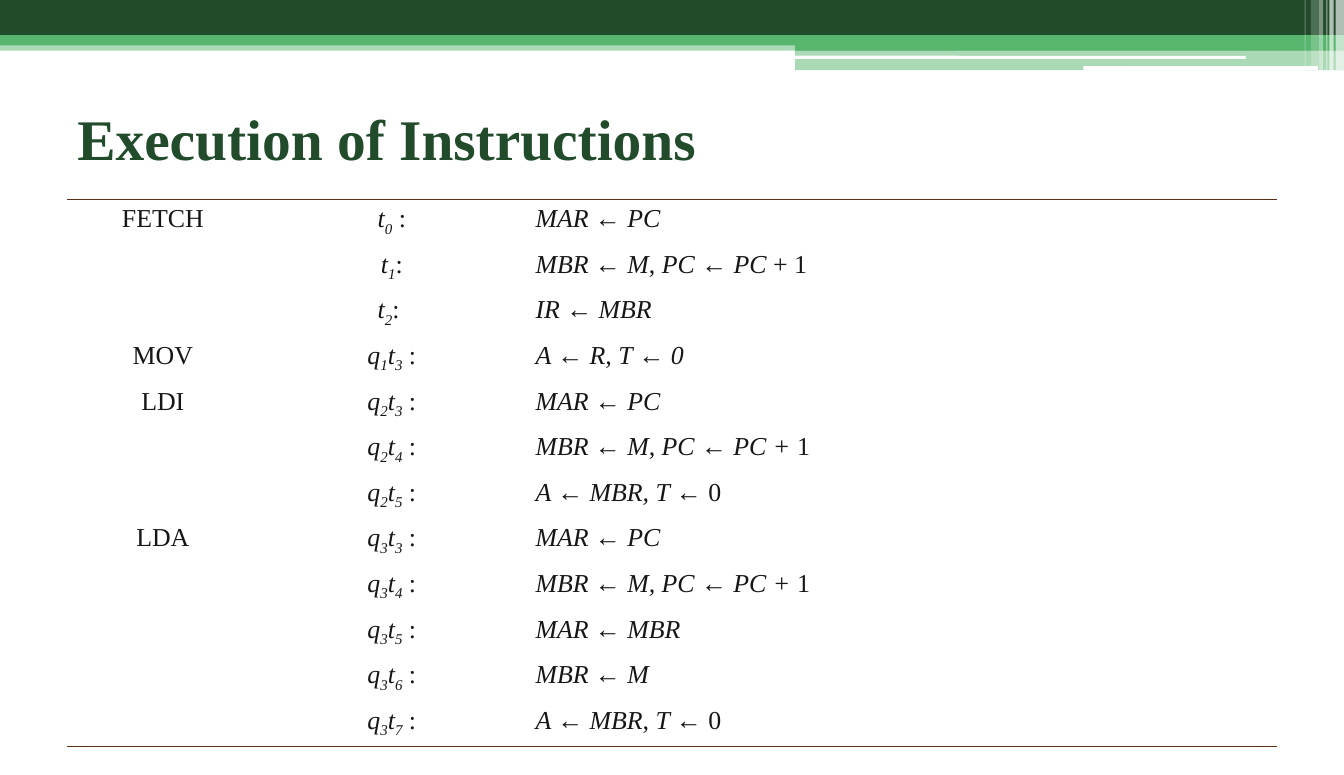
"""Builds a slide that lists the register transfers of each instruction."""
from itertools import groupby

from lxml.etree import SubElement
from pptx import Presentation
from pptx.dml.color import RGBColor
from pptx.enum.shapes import MSO_SHAPE as Shape
from pptx.enum.text import MSO_ANCHOR as Anchor, PP_ALIGN as Align
from pptx.oxml import parse_xml
from pptx.oxml.ns import nsdecls, qn
from pptx.util import Inches, Pt

DARK = RGBColor(0x21, 0x4B, 0x2B)
GREEN = RGBColor(0x57, 0xB5, 0x6D)
WHITE = RGBColor(0xFF, 0xFF, 0xFF)
INK = RGBColor(0x16, 0x16, 0x16)
BROWN = RGBColor(0x5C, 0x2E, 0x14)
PLAIN = "{2D5ABB26-0587-4C30-8999-92F81FD0307C}"

BANDS = [
    (0, 0.4, 13, 0.09, GREEN, 50),
    (0, 0, 13, 0.34, DARK, 100),
    (0, 0.34, 13, 0.1, GREEN, 100),
    (7.69, 0.39, 5.31, 0.1, GREEN, 100),
    (7.69, 0.48, 5.31, 0.2, GREEN, 50),
]
SLITS = [(7.69, 0.54, 4.36, 0.03), (10.48, 0.64, 2.27, 0.04)]
BARS = [
    (12.92, 0.08, 0.68, 65),
    (12.86, 0.04, 0.68, 65),
    (12.83, 0.01, 0.68, 60),
    (12.76, 0.04, 0.68, 40),
    (12.68, 0.08, 0.64, 20),
    (12.62, 0.01, 0.64, 30),
]
COLS = [1.85, 2.58, 7.27]
STEPS = [
    ("FETCH", "t0 :", "MAR ← PC"),
    ("", "t1:", "MBR ← M|, |PC ← PC| + 1"),
    ("", "t2: ", "IR ← MBR"),
    ("MOV", "q1t3 :", "A ← R, T ← 0"),
    ("LDI", "q2t3 :", "MAR ← PC"),
    ("", "q2t4 :", "MBR ← M, PC ← PC + |1"),
    ("", "q2t5 :", "A ← MBR, T ← |0"),
    ("LDA", "q3t3 :", "MAR ← PC"),
    ("", "q3t4 :", "MBR ← M, PC ← PC + |1"),
    ("", "q3t5 :", "MAR ← MBR"),
    ("", "q3t6 :", "MBR ← M"),
    ("", "q3t7 :", "A ← MBR, T ← |0"),
]


def write(par, text, size=18, color=INK, bold=False, italic=False, base=0):
    """Add one formatted run to a paragraph."""
    run = par.add_run()
    run.text = text
    font = run.font
    font.name, font.size = "Times New Roman", Pt(size)
    font.bold, font.italic = bold, italic
    font.color.rgb = color
    if base:
        font._element.set("baseline", str(base * 1000))


def kind(char):
    """Tell letters, digits and other signs apart."""
    return "letter" if char.isalpha() else "digit" if char.isdigit() else "sign"


class Deck:
    """Holds the presentation and its current slide."""

    def __init__(self):
        """Start a deck with one blank slide."""
        self.prs = Presentation()
        self.prs.slide_width, self.prs.slide_height = Inches(13), Inches(7.5)
        self.slide = self.prs.slides.add_slide(self.prs.slide_layouts[6])

    def band(self, x, y, w, h, color, alpha=100, form=Shape.RECTANGLE):
        """Add a borderless filled shape."""
        box = self.slide.shapes.add_shape(
            form, Inches(x), Inches(y), Inches(w), Inches(h))
        box.shadow.inherit = False
        box.line.fill.background()
        box.fill.solid()
        box.fill.fore_color.rgb = color
        if alpha < 100:
            tone = box.fill._xPr.find(".//" + qn("a:srgbClr"))
            SubElement(tone, qn("a:alpha")).set("val", str(alpha * 1000))

    def title(self, text, x, y, w, h):
        """Add the heading."""
        frame = self.slide.shapes.add_textbox(
            Inches(x), Inches(y), Inches(w), Inches(h)).text_frame
        frame.word_wrap = True
        frame.vertical_anchor = Anchor.MIDDLE
        write(frame.paragraphs[0], text, size=40, color=DARK, bold=True)

    def edge(self, cell, side):
        """Draw a cell border on the side T or B."""
        cell._tc.get_or_add_tcPr().insert(0, parse_xml(
            f'<a:ln{side} {nsdecls("a")} w="12700"><a:solidFill>'
            f'<a:srgbClr val="{BROWN}"/></a:solidFill></a:ln{side}>'))

    def table(self, rows, x, y, w, h):
        """Add the table of instruction, timing signal and transfer."""
        grid = self.slide.shapes.add_table(
            len(rows), len(COLS), Inches(x), Inches(y), Inches(w), Inches(h)).table
        grid.first_row = grid.horz_banding = False
        grid._tbl.tblPr.find(qn("a:tableStyleId")).text = PLAIN
        for col, width in zip(grid.columns, COLS):
            col.width = Inches(width)
        for row, (name, time, move) in zip(grid.rows, rows):
            for cell in row.cells:
                cell.fill.background()
            pars = [cell.text_frame.paragraphs[0] for cell in row.cells]
            pars[0].alignment = pars[1].alignment = Align.CENTER
            if name:
                write(pars[0], name)
            for sort, part in groupby(time, kind):
                write(pars[1], "".join(part), italic=sort != "sign",
                      base=-25 if sort == "digit" else 0)
            for i, part in enumerate(move.split("|")):
                write(pars[2], part, italic=i % 2 == 0)
        for i in range(len(COLS)):
            self.edge(grid.cell(0, i), "T")
            self.edge(grid.cell(len(rows) - 1, i), "B")


def main():
    """Build and save the slide."""
    deck = Deck()
    for band in BANDS:
        deck.band(*band)
    for slit in SLITS:
        deck.band(*slit, WHITE, form=Shape.ROUNDED_RECTANGLE)
    for x, w, h, alpha in BARS:
        deck.band(x, 0, w, h, WHITE, alpha)
    deck.title("Execution of Instructions", 0.65, 0.75, 11.7, 1.17)
    deck.table(STEPS, 0.65, 1.93, 11.7, 4.87)
    deck.prs.save("out.pptx")


if __name__ == "__main__":
    main()
